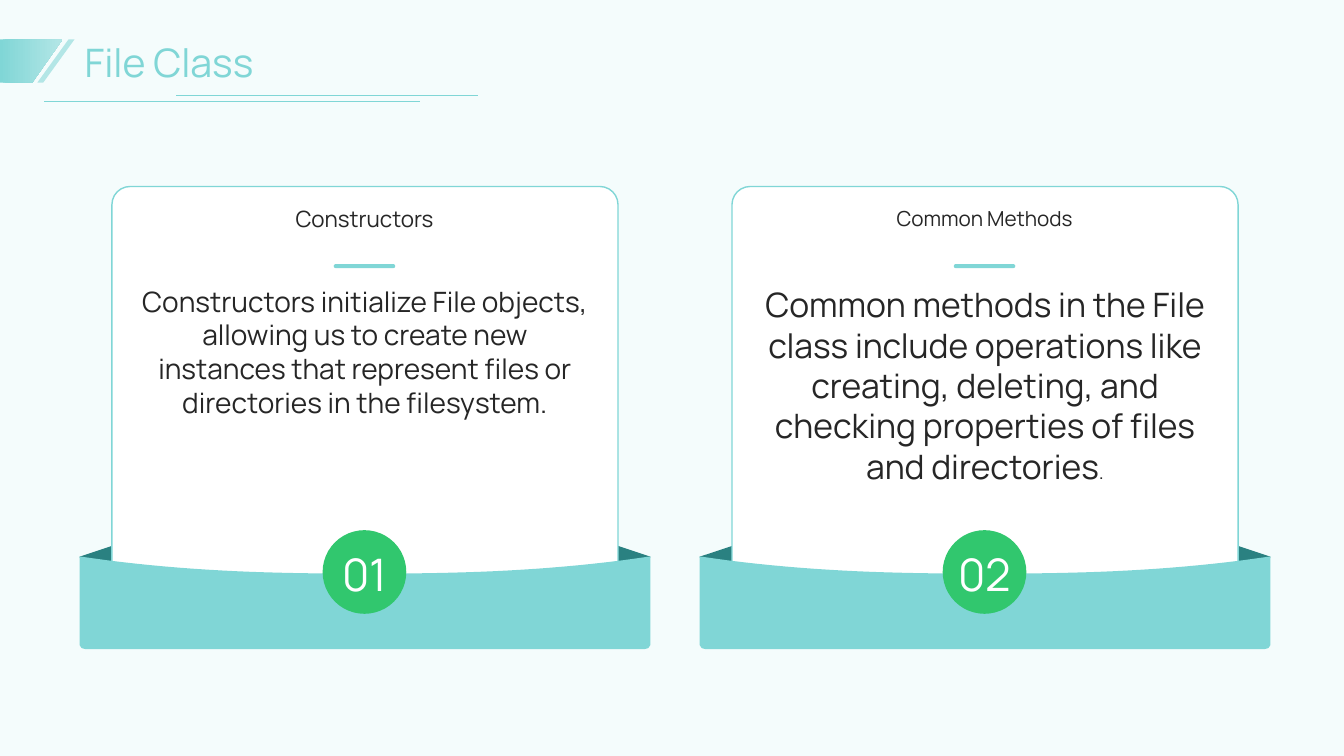
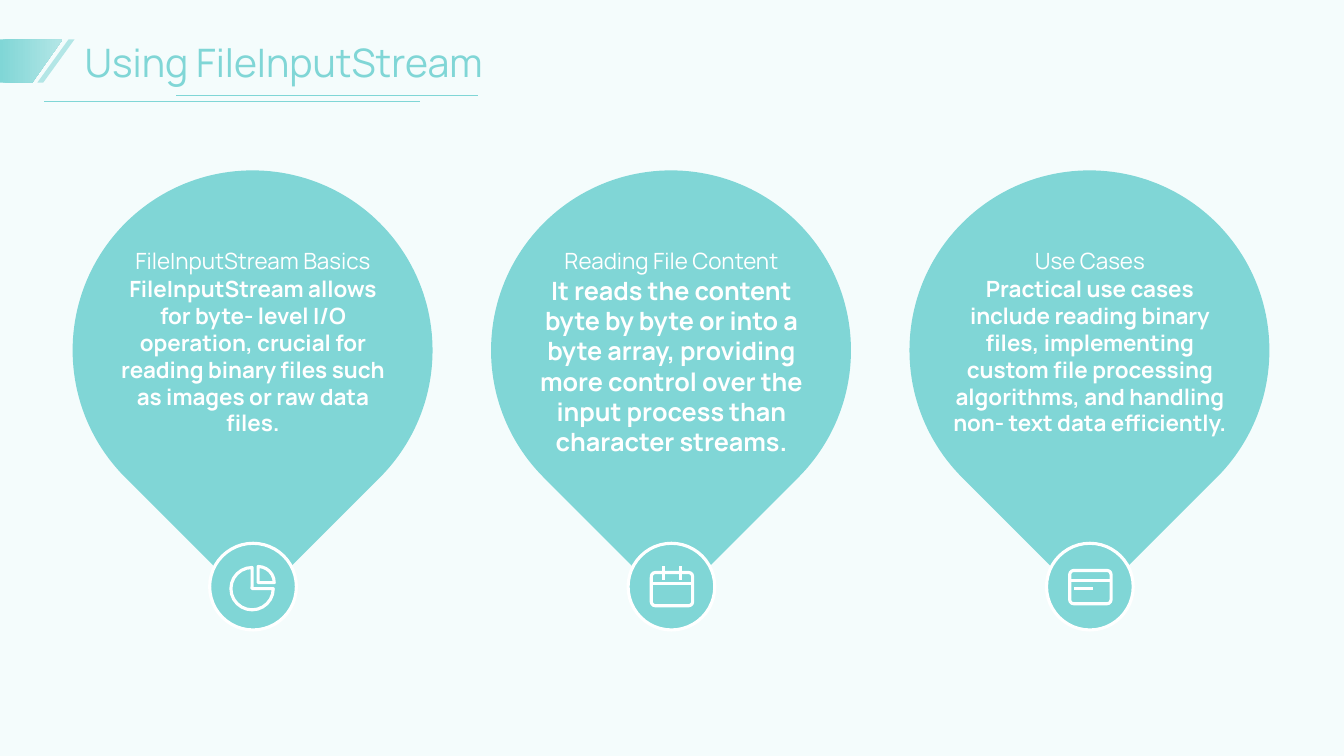
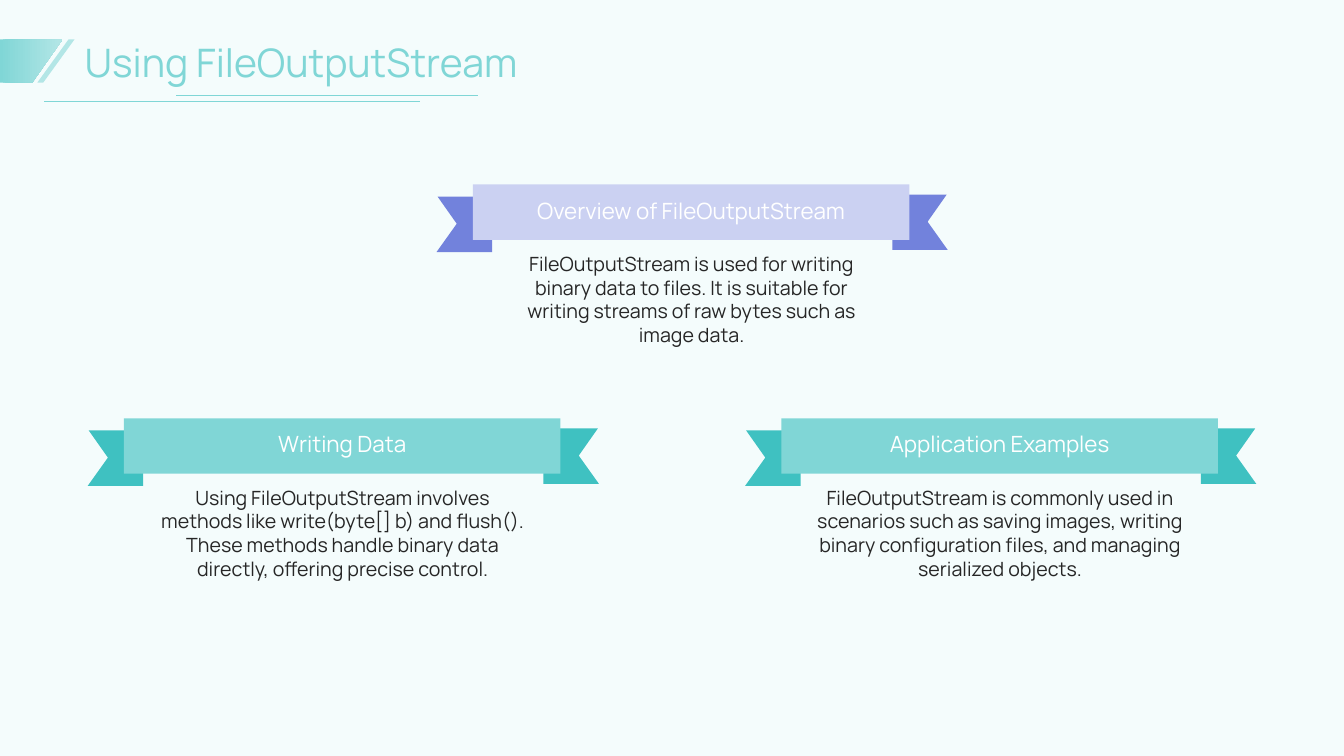
from lxml.etree import SubElement
from pptx import Presentation
from pptx.dml.color import RGBColor
from pptx.enum.shapes import MSO_CONNECTOR, MSO_SHAPE
from pptx.enum.text import MSO_ANCHOR, PP_ALIGN
from pptx.oxml.ns import qn
from pptx.util import Pt

PX = 9144
WIDE, HIGH = 1333, 750
FONT = "Manrope"
BACK, WHITE, INK = "F4FCFC", "FFFFFF", "262626"
TEAL, PALE, DEEP, DARK = "80D6D6", "B3E6E6", "3FC1C1", "2A8181"
GREEN, LILAC, VIOLET = "31C76E", "CBD1F2", "7282DC"

CARDS = [
    ("01", "Constructors", 16, 20,
     ["Constructors initialize File objects, allowing us to create new "
      "instances that represent files or directories in the filesystem."]),
    ("02", "Common Methods", 14.8, 24,
     ["Common methods in the File class include operations like creating, "
      "deleting, and checking properties of files and directories", "."]),
]

PINS = [
    ("FileInputStream Basics", 16,
     "FileInputStream allows for byte- level I/O operation, crucial for "
     "reading binary files such as images or raw data files."),
    ("Reading File Content", 18,
     "It reads the content byte by byte or into a byte array, providing "
     "more control over the input process than character streams."),
    ("Use Cases", 16,
     "Practical use cases include reading binary files, implementing custom "
     "file processing algorithms, and handling non- text data efficiently."),
]

FLAGS = [
    (123, 415, TEAL, DEEP, "Writing Data",
     "Using FileOutputStream involves methods like write(byte[] b) and "
     "flush(). These methods handle binary data directly, offering precise "
     "control."),
    (775, 415, TEAL, DEEP, "Application Examples",
     "FileOutputStream is commonly used in scenarios such as saving images, "
     "writing binary configuration files, and managing serialized objects."),
    (469, 183, LILAC, VIOLET, "Overview of FileOutputStream",
     "FileOutputStream is used for writing binary data to files. It is "
     "suitable for writing streams of raw bytes such as image data."),
]


def tint(code):
    return RGBColor.from_string(code)


def emu(*sizes):
    return [round(size * PX) for size in sizes]


def paint(shape, fill, edge=None, width=1):
    shape.shadow.inherit = False
    if fill:
        shape.fill.solid()
        shape.fill.fore_color.rgb = tint(fill)
    else:
        shape.fill.background()
    if edge:
        shape.line.color.rgb = tint(edge)
        shape.line.width = Pt(width)
    else:
        shape.line.fill.background()


def form(slide, kind, box, fill, edge=None, width=1, adjust=()):
    shape = slide.shapes.add_shape(kind, *emu(*box))
    for spot, value in enumerate(adjust):
        shape.adjustments[spot] = value
    paint(shape, fill, edge, width)
    return shape


def poly(slide, points, fill):
    dots = [emu(*point) for point in points]
    maker = slide.shapes.build_freeform(*dots[0], scale=1.0)
    maker.add_line_segments(dots[1:], close=True)
    shape = maker.convert_to_shape()
    paint(shape, fill)
    return shape


def rule(slide, start, end, color, width):
    line = slide.shapes.add_connector(
        MSO_CONNECTOR.STRAIGHT, *emu(*start, *end))
    line.line.color.rgb = tint(color)
    line.line.width = Pt(width)
    SubElement(line.element.spPr, qn("a:effectLst"))


def style(run, size, color, bold=False):
    font = run.font
    font.name, font.size, font.bold = FONT, Pt(size), bold
    font.color.rgb = tint(color)


def text(slide, box, words, size, color, anchor=MSO_ANCHOR.TOP,
         align=PP_ALIGN.CENTER, bold=False):
    frame = slide.shapes.add_textbox(*emu(*box)).text_frame
    frame.word_wrap = True
    frame.vertical_anchor = anchor
    frame.margin_left = frame.margin_right = 0
    frame.margin_top = frame.margin_bottom = 0
    frame.text = words
    para = frame.paragraphs[0]
    para.alignment = align
    style(para.runs[0], size, color, bold)
    return para


def page(deck, title):
    slide = deck.slides.add_slide(deck.slide_layouts[6])
    text(slide, (84, 36, 1176, 51), title, 28, TEAL,
         MSO_ANCHOR.MIDDLE, PP_ALIGN.LEFT)
    form(slide, MSO_SHAPE.PARALLELOGRAM, (37, 39, 37, 43), PALE,
         adjust=[0.84])
    band = poly(slide, [(0, 39), (62, 39), (32, 82), (0, 82)], TEAL)
    band.fill.gradient()
    band.fill.gradient_angle = 0
    for stop, color in zip(band.fill.gradient_stops, (TEAL, PALE)):
        stop.color.rgb = tint(color)
    rule(slide, (44, 101), (417, 101), TEAL, 0.5)
    rule(slide, (175, 95), (474, 95), TEAL, 0.5)
    return slide


def fold(slide, left, turn, flip=False):
    shape = form(slide, MSO_SHAPE.RIGHT_TRIANGLE, (left, 530, 39, 62), DARK)
    shape.rotation = turn
    if flip:
        shape.element.spPr.get_or_add_xfrm().set("flipH", "1")


def tray(slide, left):
    half, steps = 283, 20
    points = []
    for step in range(-steps, steps + 1):
        part = step / steps
        dip = 17 * (1 - abs(part) ** 2.5)
        points.append((left + half * (1 + part), 552 + dip))
    right = left + 2 * half
    points += [(right, 640), (right - 2, 643), (right - 6, 644),
               (left + 6, 644), (left + 2, 643), (left, 640)]
    poly(slide, points, TEAL)


def card(slide, left, mark, head, small, size, parts):
    fold(slide, left + 511, 288.4, True)
    fold(slide, left + 16, 71.6)
    form(slide, MSO_SHAPE.ROUNDED_RECTANGLE, (left + 32, 185, 502, 451),
         WHITE, TEAL, 1, [0.04])
    tray(slide, left)
    para = text(slide, (left + 56, 282, 454, 231), parts[0], size, INK)
    for extra in parts[1:]:
        run = para.add_run()
        run.text = extra
        style(run, 14, INK)
    form(slide, MSO_SHAPE.ROUNDED_RECTANGLE, (left + 252, 262, 61, 4), TEAL,
         adjust=[0.5])
    form(slide, MSO_SHAPE.OVAL, (left + 241, 526, 83, 83), GREEN)
    text(slide, (left + 254, 539, 58, 57), mark, 32, WHITE,
         MSO_ANCHOR.BOTTOM)
    text(slide, (left + 180, 187, 205, 60), head, small, INK,
         MSO_ANCHOR.MIDDLE)


def trace(slide, kind, box, adjust=()):
    form(slide, kind, box, None, WHITE, 2.25, adjust)


def chart(slide, mid):
    trace(slide, MSO_SHAPE.PIE, (mid - 22, 563, 42, 42))
    trace(slide, MSO_SHAPE.PIE, (mid - 11, 562, 32, 32), [162, 0])


def dates(slide, mid):
    trace(slide, MSO_SHAPE.ROUNDED_RECTANGLE, (mid - 20, 568, 41, 33),
          [0.12])
    rule(slide, (mid - 20, 579), (mid + 21, 579), WHITE, 2.25)
    for shift in (-8, 9):
        rule(slide, (mid + shift, 562), (mid + shift, 575), WHITE, 2.25)


def pane(slide, mid):
    trace(slide, MSO_SHAPE.ROUNDED_RECTANGLE, (mid - 20, 566, 41, 33),
          [0.12])
    rule(slide, (mid - 20, 576), (mid + 21, 576), WHITE, 2.25)
    rule(slide, (mid - 16, 584), (mid + 3, 584), WHITE, 2.25)


def pin(slide, left, icon, head, size, body):
    drop = form(slide, MSO_SHAPE.TEAR, (left, 169, 357, 357), TEAL)
    drop.rotation = 135
    form(slide, MSO_SHAPE.OVAL, (left + 136, 539, 86, 86), TEAL, WHITE, 2.25)
    icon(slide, left + 179)
    text(slide, (left + 41, 273, 276, 191), body, size, WHITE, bold=True)
    text(slide, (left + 41, 232, 276, 40), head, 16, WHITE,
         MSO_ANCHOR.BOTTOM)


def tail(slide, base, top, side, fill):
    notch = [(0, 0), (54, 0), (35, 27), (55, 55), (0, 55)]
    poly(slide, [(base + side * out, top + down) for out, down in notch],
         fill)


def flag(slide, left, top, fill, shade, head, body):
    tail(slide, left + 19, top + 12, -1, shade)
    tail(slide, left + 416, top + 10, 1, shade)
    form(slide, MSO_SHAPE.RECTANGLE, (left, top, 433, 55), fill)
    text(slide, (left + 20, top + 11, 393, 29), head, 16, WHITE,
         MSO_ANCHOR.MIDDLE)
    text(slide, (left + 30, top + 67, 374, 126), body, 14, INK)


def main():
    deck = Presentation()
    deck.slide_width, deck.slide_height = emu(WIDE, HIGH)
    back = deck.slide_master.background.fill
    back.solid()
    back.fore_color.rgb = tint(BACK)

    slide = page(deck, "File Class")
    for spot, item in enumerate(CARDS):
        card(slide, 79 + 615 * spot, *item)

    slide = page(deck, "Using FileInputStream")
    for spot, (icon, item) in enumerate(zip((chart, dates, pane), PINS)):
        pin(slide, 72 + 415 * spot, icon, *item)

    slide = page(deck, "Using FileOutputStream")
    for item in FLAGS:
        flag(slide, *item)

    deck.save("out.pptx")


if __name__ == "__main__":
    main()
